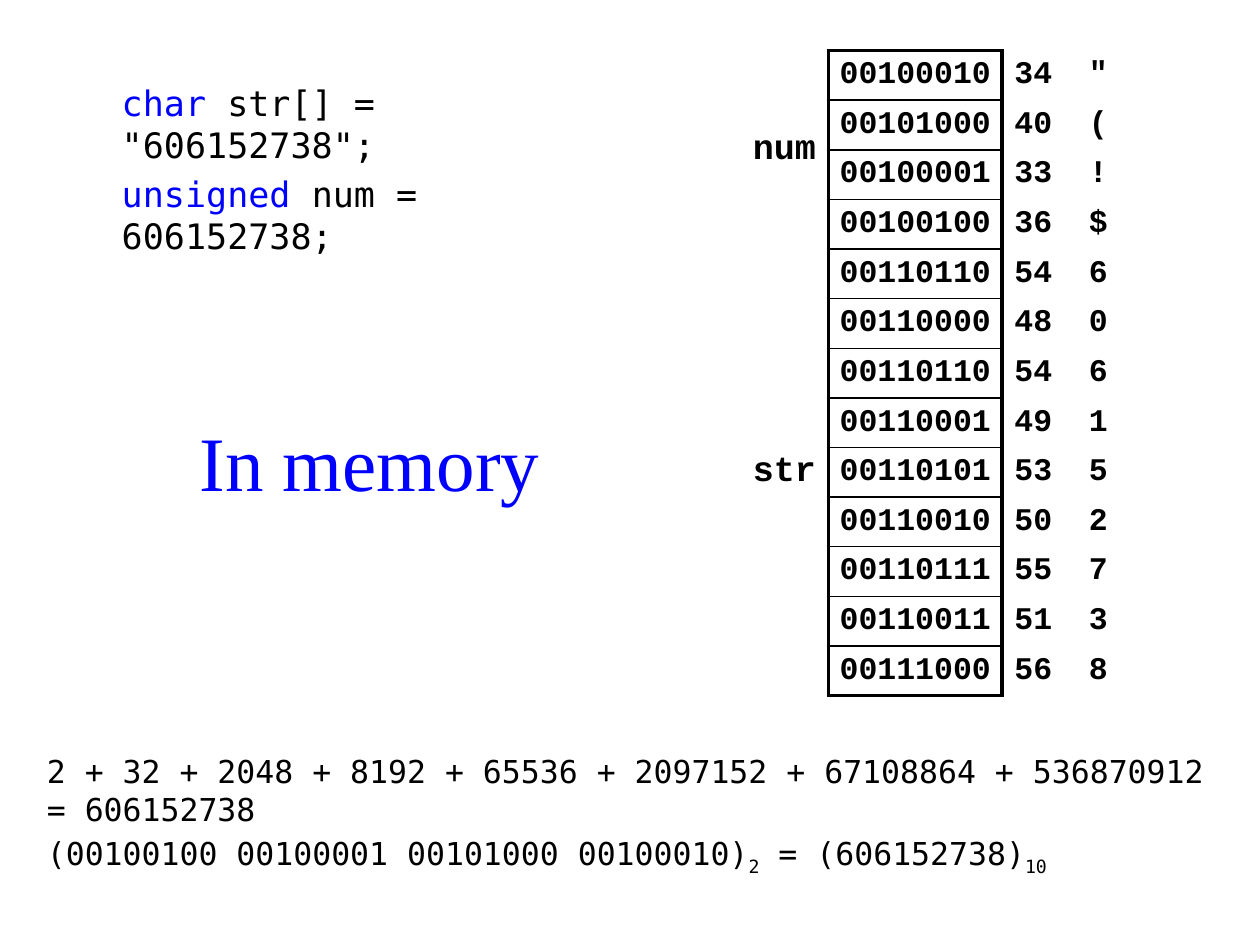
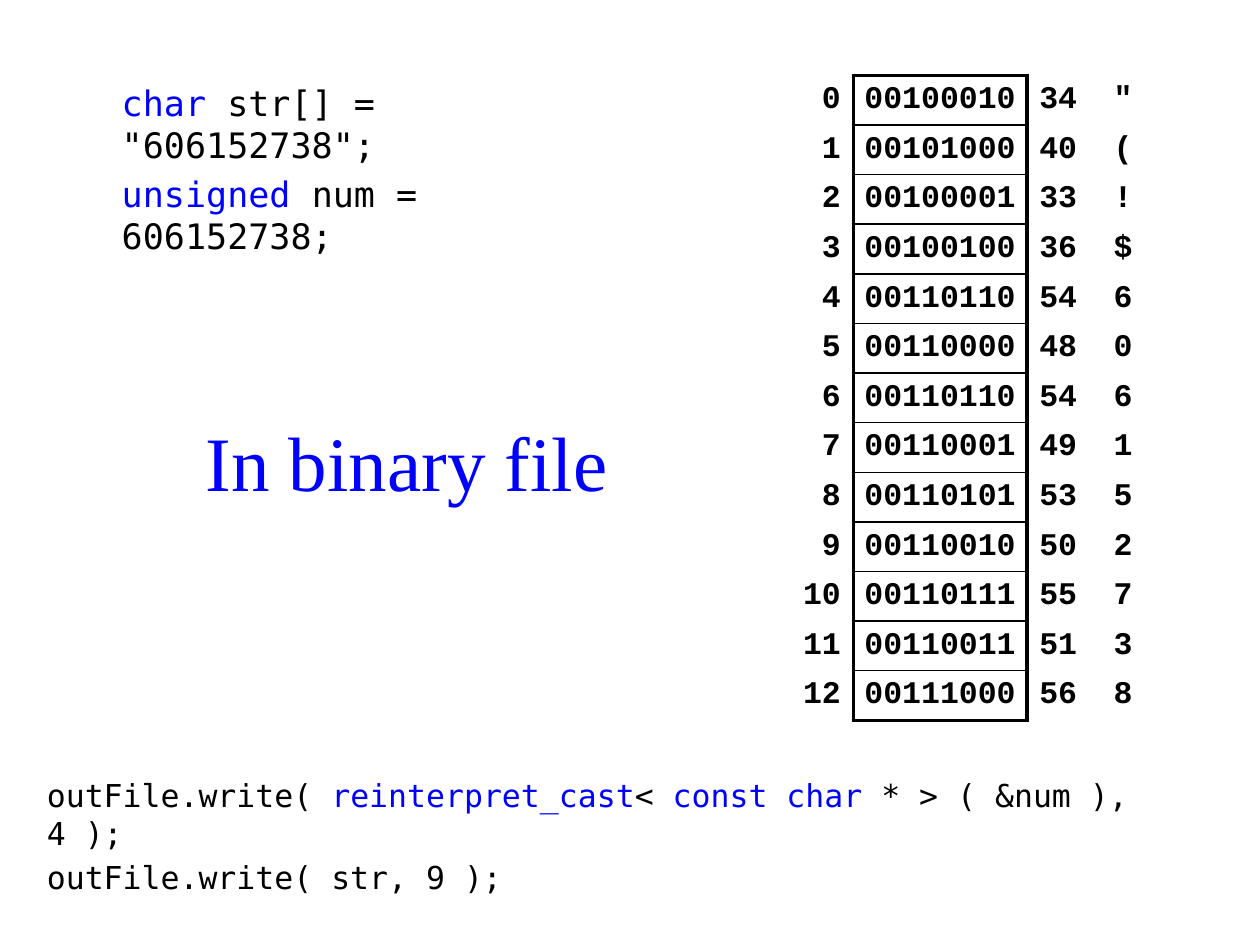
"""Build two slides that compare a number and a string, byte by byte."""
from dataclasses import dataclass

import pptx
import pptx.dml.color
import pptx.enum.text
import pptx.oxml
import pptx.oxml.ns
import pptx.util
from pptx.util import Cm

BLACK, BLUE = "000000", "0000FF"
CODE_FONT, BYTE_FONT, TITLE_FONT = "DejaVu Sans Mono", "Courier New", "Times New Roman"
THICK, THIN, NO_LINE = 2.25, 1, 0
ALIGN = pptx.enum.text.PP_ALIGN
MIDDLE = pptx.enum.text.MSO_ANCHOR.MIDDLE

NUMBER = 606152738
STORED_BYTES = NUMBER.to_bytes(4, "little") + str(NUMBER).encode("ascii")
ROW_HEIGHT = 1.0
BITS_WIDTH, DECIMAL_WIDTH, SYMBOL_WIDTH = 3.5, 1.5, 1.0


@dataclass(frozen=True)
class Piece:
    """A stretch of text with one colour."""
    text: str
    color: str = BLACK
    subscript: bool = False


@dataclass(frozen=True)
class Box:
    """A rectangle in centimetres."""
    left: float
    top: float
    width: float
    height: float


@dataclass(frozen=True)
class RowLabel:
    """A label beside one or more consecutive bytes."""
    text: str
    rows: int = 1
    size: float = 18


@dataclass(frozen=True)
class StorageSlide:
    """Everything that differs between the two slides."""
    title: str
    title_width: float
    working_box: Box
    working: list[list[Piece]]
    table_left: float
    table_top: float
    label_width: float
    labels: list[RowLabel]


DECLARATIONS_BOX = Box(2.2, 1.52, 11.0, 2.0)
DECLARATIONS = [
    [Piece("char ", BLUE), Piece(f'str[] = "{NUMBER}";')],
    [Piece("unsigned ", BLUE), Piece(f"num = {NUMBER};")],
]

SLIDES = [
    StorageSlide(
        "In memory", 7.5, Box(0.69, 15.04, 24.0, 3.0),
        [
            [Piece("2 + 32 + 2048 + 8192 + 65536 + 2097152 + 67108864 + 536870912 = 606152738")],
            [Piece("(00100100 00100001 00101000 00100010)"), Piece("2", subscript=True),
             Piece(" = (606152738)"), Piece("10", subscript=True)],
        ],
        14.7, 1.02, 2.0, [RowLabel("num", 4, 20), RowLabel("str", 9, 20)],
    ),
    StorageSlide(
        "In binary file", 9.0, Box(0.69, 15.52, 24.0, 2.0),
        [
            [Piece("outFile.write( "), Piece("reinterpret_cast", BLUE), Piece("< "),
             Piece("const char", BLUE), Piece(" * > ( &num ), 4 );")],
            [Piece("outFile.write( str, 9 );")],
        ],
        15.7, 1.52, 1.5, [RowLabel(str(offset)) for offset in range(len(STORED_BYTES))],
    ),
]


def rgb(color: str) -> pptx.dml.color.RGBColor:
    """Turn a hex string into a colour."""
    return pptx.dml.color.RGBColor.from_string(color)


def add_piece(paragraph, piece: Piece, font: str, size: float, bold: bool = False) -> None:
    """Append one formatted run to a paragraph."""
    run = paragraph.add_run()
    run.text = piece.text
    run.font.name = font
    run.font.size = pptx.util.Pt(size)
    run.font.bold = bold
    run.font.color.rgb = rgb(piece.color)
    if piece.subscript:
        run._r.get_or_add_rPr().set("baseline", "-25000")


def place(placeholder, box: Box) -> None:
    """Move a placeholder and keep its text at the given size."""
    placeholder.left, placeholder.top = Cm(box.left), Cm(box.top)
    placeholder.width, placeholder.height = Cm(box.width), Cm(box.height)
    placeholder.text_frame.word_wrap = True
    placeholder.text_frame.auto_size = pptx.enum.text.MSO_AUTO_SIZE.NONE


def fill_title(title, text: str, width: float) -> None:
    """Place and write the slide title."""
    place(title, Box(3.7, 8.03, width, 2.5))
    title.text_frame.vertical_anchor = MIDDLE
    paragraph = title.text_frame.paragraphs[0]
    paragraph.alignment = ALIGN.CENTER
    add_piece(paragraph, Piece(text, BLUE), TITLE_FONT, 44)


def fill_code(body, box: Box, lines: list[list[Piece]], size: float) -> None:
    """Write code lines without bullets into a body placeholder."""
    place(body, box)
    frame = body.text_frame
    for index, line in enumerate(lines):
        paragraph = frame.add_paragraph() if index else frame.paragraphs[0]
        paragraph.space_before = pptx.util.Pt(size * 0.2)
        properties = paragraph._p.get_or_add_pPr()
        properties.set("marL", "0")
        properties.set("indent", "0")
        properties.append(pptx.oxml.parse_xml(
            f"<a:buNone {pptx.oxml.ns.nsdecls('a')}/>"))
        for piece in line:
            add_piece(paragraph, piece, CODE_FONT, size)


def set_borders(cell, left: float = NO_LINE, right: float = NO_LINE,
                top: float = NO_LINE, bottom: float = NO_LINE) -> None:
    """Draw the cell's four edges with widths in points and clear its fill."""
    properties = cell._tc.get_or_add_tcPr()
    for edge, width in (("L", left), ("R", right), ("T", top), ("B", bottom)):
        paint = (f'<a:solidFill><a:srgbClr val="{BLACK}"/></a:solidFill>'
                 if width else "<a:noFill/>")
        properties.append(pptx.oxml.parse_xml(
            f'<a:ln{edge} {pptx.oxml.ns.nsdecls("a")} w="{int(pptx.util.Pt(width))}">'
            f"{paint}</a:ln{edge}>"))
    cell.fill.background()


def set_margins(cell, side: float) -> None:
    """Set the insets of a cell and centre its text vertically."""
    cell.margin_left = cell.margin_right = Cm(side)
    cell.margin_top = cell.margin_bottom = Cm(0.1)
    cell.vertical_anchor = MIDDLE


def write_cell(cell, text: str, alignment, size: float = 18) -> None:
    """Write bold monospaced text into a cell."""
    paragraph = cell.text_frame.paragraphs[0]
    paragraph.alignment = alignment
    add_piece(paragraph, Piece(text), BYTE_FONT, size, bold=True)


def add_byte_table(slide, content: StorageSlide) -> None:
    """Add the table of labels, bits, decimal values and characters."""
    widths = (content.label_width, BITS_WIDTH, DECIMAL_WIDTH, SYMBOL_WIDTH)
    count = len(STORED_BYTES)
    table = slide.shapes.add_table(
        count, len(widths), Cm(content.table_left), Cm(content.table_top),
        Cm(sum(widths)), Cm(count * ROW_HEIGHT)).table
    table.first_row = table.horz_banding = False
    for column, width in zip(table.columns, widths):
        column.width = Cm(width)

    for index, value in enumerate(STORED_BYTES):
        table.rows[index].height = Cm(ROW_HEIGHT)
        label, bits, decimal, symbol = table.rows[index].cells
        for cell in (label, decimal, symbol):
            set_margins(cell, 0.25)
        set_margins(bits, 0.2)
        set_borders(label, right=THICK)
        set_borders(bits, THICK, THICK,
                    top=THIN if index else THICK,
                    bottom=THIN if index < count - 1 else THICK)
        set_borders(decimal, left=THICK)
        set_borders(symbol)
        write_cell(bits, f"{value:08b}", ALIGN.CENTER)
        write_cell(decimal, str(value), ALIGN.LEFT)
        write_cell(symbol, chr(value), ALIGN.LEFT)

    first = 0
    for row_label in content.labels:
        cell = table.cell(first, 0)
        if row_label.rows > 1:
            cell.merge(table.cell(first + row_label.rows - 1, 0))
        write_cell(cell, row_label.text, ALIGN.RIGHT, row_label.size)
        first += row_label.rows


def build_slide(deck, content: StorageSlide) -> None:
    """Add one slide with its table, title and code."""
    slide = deck.slides.add_slide(deck.slide_layouts.get_by_name("Two Content"))
    fill_title(slide.shapes.title, content.title, content.title_width)
    fill_code(slide.placeholders[1], content.working_box, content.working, 18)
    fill_code(slide.placeholders[2], DECLARATIONS_BOX, DECLARATIONS, 20)
    add_byte_table(slide, content)


def main() -> None:
    """Build and save the deck."""
    deck = pptx.Presentation()
    deck.slide_width, deck.slide_height = Cm(25.4), Cm(19.05)
    for content in SLIDES:
        build_slide(deck, content)
    deck.save("out.pptx")


main()
